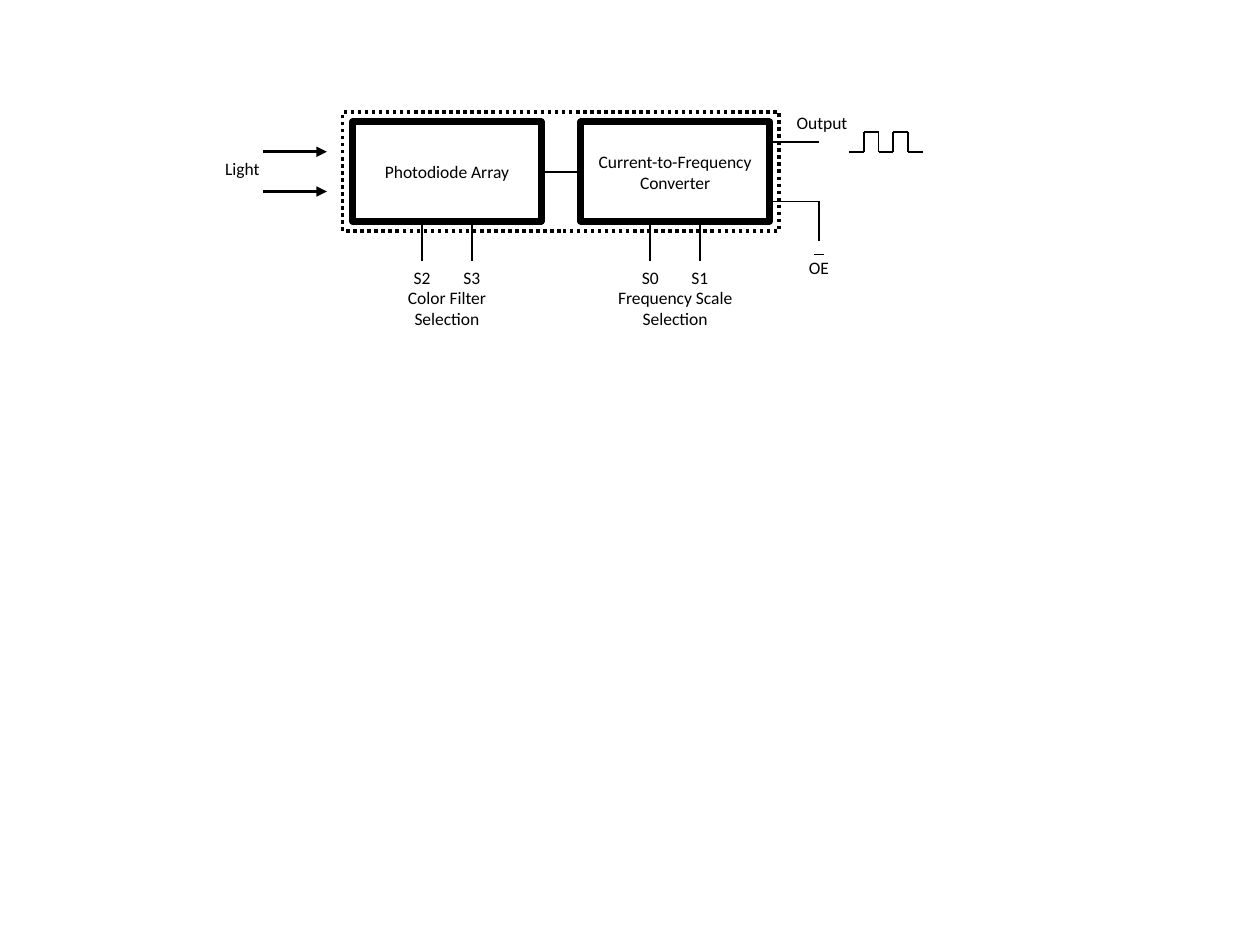
from itertools import pairwise

from pptx import Presentation
from pptx.dml.color import RGBColor
from pptx.enum.dml import MSO_LINE
from pptx.enum.shapes import MSO_CONNECTOR, MSO_SHAPE
from pptx.enum.text import MSO_ANCHOR, PP_ALIGN
from pptx.oxml.ns import qn
from pptx.util import Cm, Pt
from lxml.etree import SubElement

BLACK = "000000"
BLOCK_WIDTH, BLOCK_HEIGHT = 3.8, 2.0
PIN_OFFSETS = (1.4, 2.4)


def color(hex_string):
    return RGBColor.from_string(hex_string)


def write_text(shape, text, size=10, font="Calibri", fill=BLACK,
               align=PP_ALIGN.CENTER, anchor=MSO_ANCHOR.TOP):
    frame = shape.text_frame
    frame.word_wrap = True
    frame.vertical_anchor = anchor
    paragraph = frame.paragraphs[0]
    paragraph.text = text
    paragraph.alignment = align
    paragraph.font.size = Pt(size)
    paragraph.font.name = font
    paragraph.font.color.rgb = color(fill)


def add_label(slide, text, left, top, width=1.0, height=0.68, **text_format):
    label = slide.shapes.add_textbox(Cm(left), Cm(top), Cm(width), Cm(height))
    write_text(label, text, **text_format)


def add_outline(slide, left, top, width, height, weight, dash=None):
    shape = slide.shapes.add_shape(
        MSO_SHAPE.RECTANGLE, Cm(left), Cm(top), Cm(width), Cm(height))
    shape.shadow.inherit = False
    shape.fill.background()
    shape.line.color.rgb = color(BLACK)
    shape.line.width = Pt(weight)
    if dash is not None:
        shape.line.dash_style = dash
    return shape


def add_line(slide, start, end, weight=1, arrow=False):
    connector = slide.shapes.add_connector(
        MSO_CONNECTOR.STRAIGHT, *(Cm(value) for value in (*start, *end)))
    connector.line.color.rgb = color(BLACK)
    connector.line.width = Pt(weight)
    properties = connector._element.spPr
    if arrow:
        SubElement(properties.find(qn("a:ln")), qn("a:tailEnd"), type="triangle")
    SubElement(properties, qn("a:effectLst"))
    return connector


def add_path(slide, points):
    for start, end in pairwise(points):
        add_line(slide, start, end)


def add_block(slide, left, top, title, pins, caption, caption_width):
    block = add_outline(slide, left, top, BLOCK_WIDTH, BLOCK_HEIGHT, 4)
    write_text(block, title, anchor=MSO_ANCHOR.MIDDLE)
    bottom = top + BLOCK_HEIGHT
    for pin, offset in zip(pins, PIN_OFFSETS):
        x = left + offset
        add_line(slide, (x, bottom), (x, bottom + 0.8))
        add_label(slide, pin, x - 0.5, bottom + 0.8)
    add_label(slide, caption, left + (BLOCK_WIDTH - caption_width) / 2,
              bottom + 1.2, caption_width, 1.12)
    return block


def add_light_input(slide, left, top):
    add_label(slide, "Light", left, top, 1.6, align=PP_ALIGN.LEFT)
    for y in (top, top + 0.8):
        add_line(slide, (left + 1.02, y), (left + 2.3, y), 1.5, arrow=True)


def add_outputs(slide, left, top):
    right = left + 1.0
    add_line(slide, (left, top + 0.4), (right, top + 0.4))
    add_label(slide, "Output", left + 0.3, top - 0.32, 1.6, align=PP_ALIGN.LEFT)
    add_path(slide, [(left, top + 1.6), (right, top + 1.6), (right, top + 2.4)])
    add_label(slide, "OE", right - 0.5, top + 2.6)
    add_line(slide, (right - 0.1, top + 2.67), (right + 0.1, top + 2.67))


def add_square_wave(slide, left, base, step=0.3, height=0.4, steps=5):
    points = []
    for index in range(steps):
        y = base - height * (index % 2)
        points += [(left + index * step, y), (left + (index + 1) * step, y)]
    add_path(slide, points)


def add_sensor(slide, left, top):
    converter_left = left + 4.6
    photodiodes = add_block(slide, left, top, "Photodiode Array",
                            ("S2", "S3"), "Color Filter Selection", 2.2)
    converter = add_block(slide, converter_left, top,
                          "Current-to-Frequency Converter",
                          ("S0", "S1"), "Frequency Scale Selection", 3.8)
    add_outline(slide, left - 0.2, top - 0.2, 8.8, 2.4, 2, MSO_LINE.ROUND_DOT)
    middle = top + BLOCK_HEIGHT / 2
    link = add_line(slide, (left + BLOCK_WIDTH, middle), (converter_left, middle))
    link.begin_connect(photodiodes, 3)
    link.end_connect(converter, 1)
    add_light_input(slide, left - 2.82, top + 0.6)
    add_outputs(slide, converter_left + BLOCK_WIDTH, top)
    add_square_wave(slide, left + 10, top + 0.6)


def main():
    presentation = Presentation()
    presentation.slide_width = Cm(25.4)
    presentation.slide_height = Cm(19.05)
    slide = presentation.slides.add_slide(presentation.slide_layouts[6])
    add_sensor(slide, 7.11, 2.46)
    presentation.save("out.pptx")


if __name__ == "__main__":
    main()
